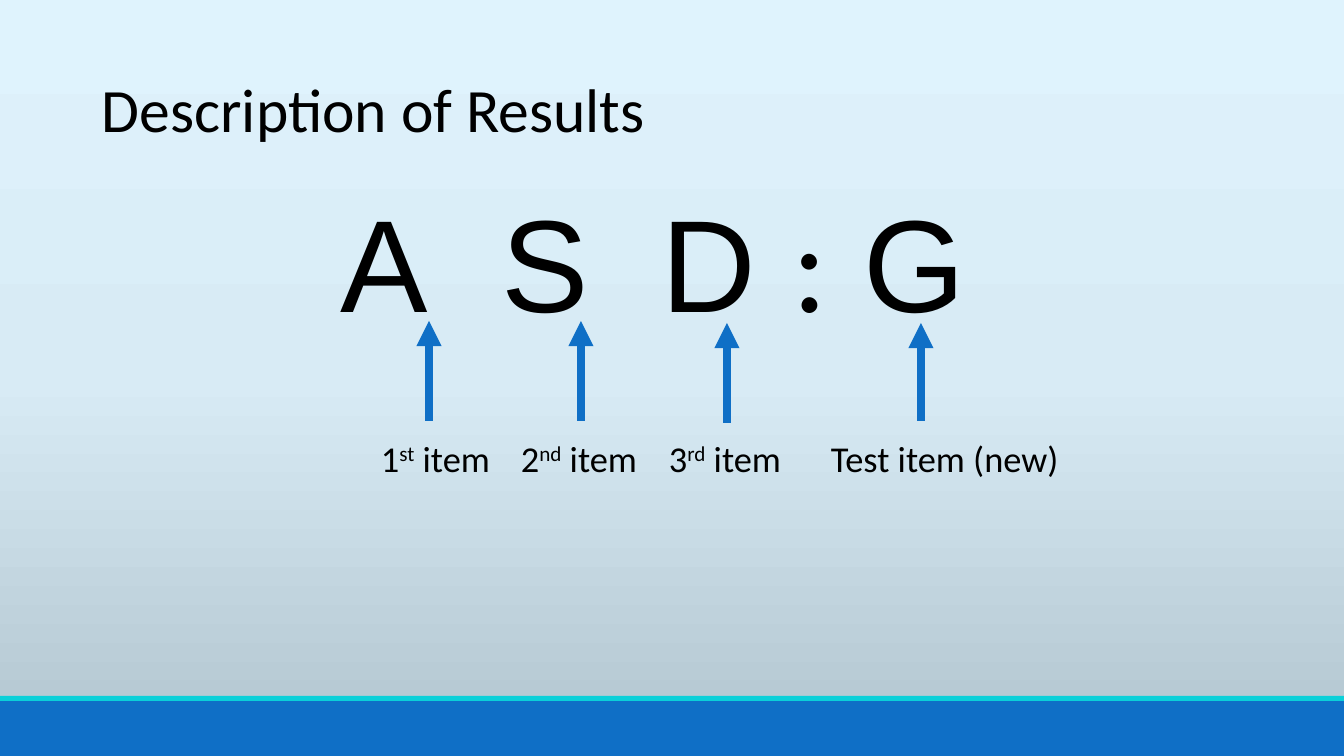
from pptx import Presentation
from pptx.dml.color import RGBColor
from pptx.enum.shapes import MSO_CONNECTOR, MSO_SHAPE
from pptx.enum.text import MSO_ANCHOR, MSO_AUTO_SIZE, PP_ALIGN
from pptx.oxml import parse_xml
from pptx.oxml.ns import nsdecls, qn
from pptx.util import Pt
from lxml.etree import SubElement

# Content: a run is (text, font, size, extra run attributes)
WIDE = {"spc": "2600"}
RAISE = {"baseline": "30000"}
TITLE = [("Description of Results", "Calibri", 44, {})]
PROBE = [
    ("A", "Arial", 93.6, {}), (" ", "Arial", 93.6, WIDE),
    ("S", "Arial", 93.6, {}), (" ", "Arial", 93.6, WIDE),
    ("D ", "Arial", 93.6, {}), (":", "Calibri", 93.6, {}),
    (" G ", "Arial", 93.6, {}),
]
# Label parts, label left, label width, arrow x, arrow bottom, arrow top
ITEMS = [
    (("1", "st", " item"), 371, 133, 429, 421, 321),
    (("2", "nd", " item"), 511, 141, 581, 421, 321),
    (("3", "rd", " item"), 659, 136, 727, 423, 323),
    (("Test item (new)",), 821, 250, 921, 421, 323),
]
BANDS = [(701, 55, "0F6FC6"), (696, 5, "0BD0D9")]
SKY = [(0, "DFF3FD"), (50, "D8EBF5"), (100, "B1C4CE")]
BLUE, BLACK = "0F6FC6", "000000"
WIDTH, HEIGHT = 1344, 756


def px(n):
    return round(n * 914400 / 100.8)


def color(code):
    return RGBColor.from_string(code)


def add_text(slide, box, runs, wrap=True, align=PP_ALIGN.LEFT, space=1.0):
    frame = slide.shapes.add_textbox(*map(px, box)).text_frame
    frame.word_wrap = wrap
    frame.auto_size = MSO_AUTO_SIZE.NONE if wrap else MSO_AUTO_SIZE.SHAPE_TO_FIT_TEXT
    frame.vertical_anchor = MSO_ANCHOR.MIDDLE if wrap else MSO_ANCHOR.TOP
    para = frame.paragraphs[0]
    para.alignment = align
    para.line_spacing = space
    for text, face, size, extra in runs:
        run = para.add_run()
        run.text = text
        run.font.name = face
        run.font.size = Pt(size)
        run.font.color.rgb = color(BLACK)
        for key, val in extra.items():
            run._r.get_or_add_rPr().set(key, val)


def add_arrow(slide, x, low, top):
    line = slide.shapes.add_connector(
        MSO_CONNECTOR.STRAIGHT, px(x), px(low), px(x), px(top))
    line.line.color.rgb = color(BLUE)
    line.line.width = Pt(6)
    SubElement(line.line._get_or_add_ln(), qn("a:tailEnd"), type="triangle")
    SubElement(line._element.spPr, qn("a:effectLst"))


def add_sky(slide):
    stops = "".join(
        f'<a:gs pos="{at * 1000}"><a:srgbClr val="{code}"/></a:gs>'
        for at, code in SKY)
    slide._element.cSld.insert(0, parse_xml(
        f'<p:bg {nsdecls("p", "a")}><p:bgPr><a:gradFill rotWithShape="1">'
        f'<a:gsLst>{stops}</a:gsLst><a:lin ang="5400000" scaled="0"/>'
        '</a:gradFill><a:effectLst/></p:bgPr></p:bg>'))


def main():
    deck = Presentation()
    deck.slide_width, deck.slide_height = px(WIDTH), px(HEIGHT)
    slide = deck.slides.add_slide(deck.slide_layouts[6])
    add_sky(slide)

    # Bottom bands
    for top, high, code in BANDS:
        band = slide.shapes.add_shape(
            MSO_SHAPE.RECTANGLE, 0, px(top), px(WIDTH), px(high))
        band.shadow.inherit = False
        band.fill.solid()
        band.fill.fore_color.rgb = color(code)
        band.line.fill.background()

    # Title and letter row
    add_text(slide, (92, 40, 1159, 146), TITLE, space=0.9)
    add_text(slide, (92, 202, 1159, 146), PROBE,
             align=PP_ALIGN.CENTER, space=0.8)

    # Arrows with their labels; the second part of a label is raised
    for parts, left, wide, x, low, top in ITEMS:
        add_arrow(slide, x, low, top)
        runs = [(part, "Calibri", 26, RAISE if i == 1 else {})
                for i, part in enumerate(parts)]
        add_text(slide, (left, 431, wide, 54), runs, wrap=False)

    deck.save("out.pptx")


if __name__ == "__main__":
    main()
